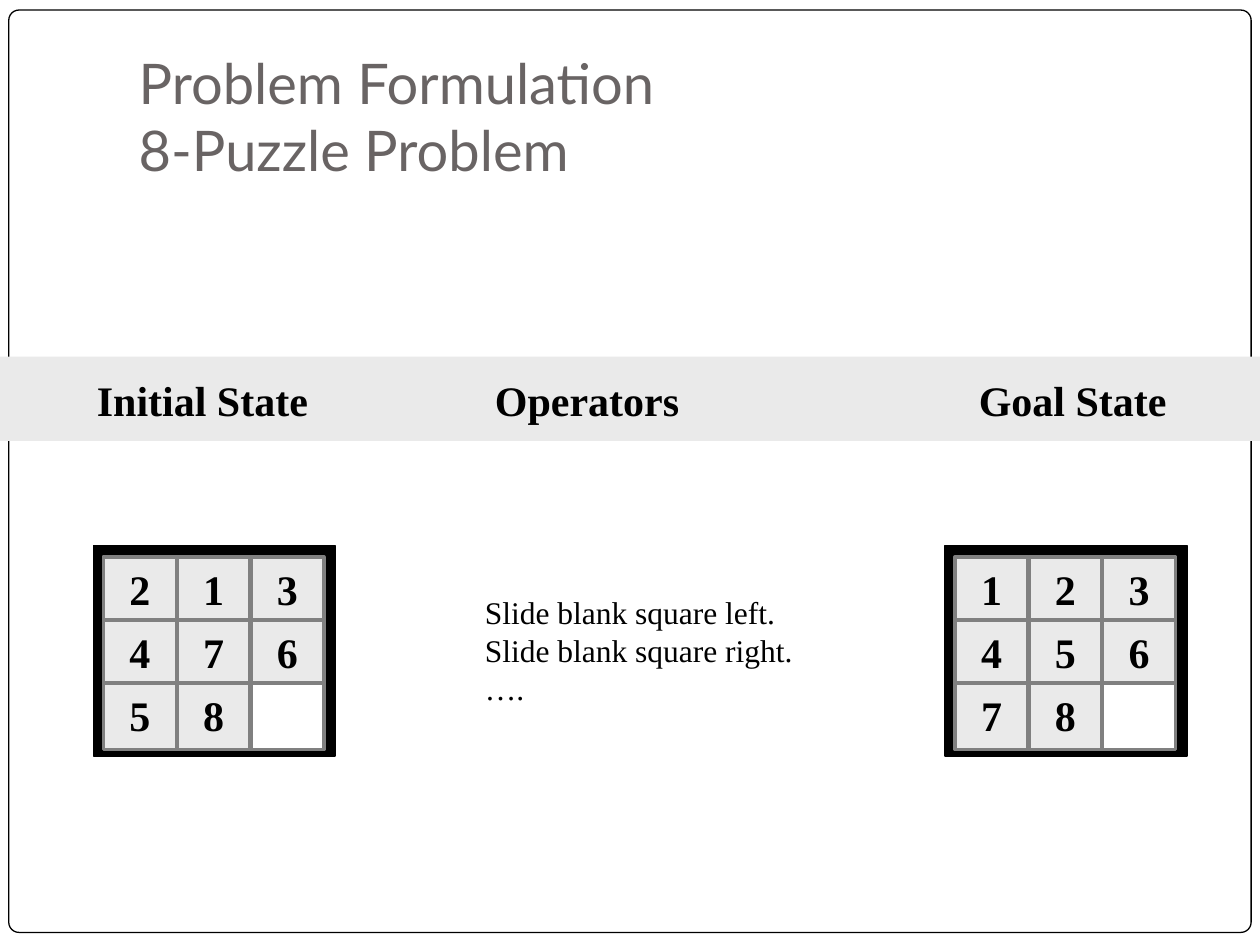
import pptx
import pptx.dml.color
import pptx.enum.shapes
import pptx.enum.text
import pptx.util

Inches = pptx.util.Inches
Pt = pptx.util.Pt
SHAPE = pptx.enum.shapes.MSO_SHAPE
ALIGN = pptx.enum.text.PP_ALIGN
ANCHOR = pptx.enum.text.MSO_ANCHOR

COLORS = {
    "black": "000000",
    "white": "FFFFFF",
    "panel": "EAEAEA",
    "edge": "808080",
    "title": "696464",
}


def rgb(name):
    """Return the named colour."""
    return pptx.dml.color.RGBColor.from_string(COLORS[name])


def write(tf, text, size=24, bold=False, color="black", font="Times New Roman",
          align=ALIGN.LEFT, anchor=ANCHOR.TOP, wrap=False):
    """Fill a text frame with one paragraph per line of text."""
    tf.text = text
    tf.word_wrap = wrap
    tf.vertical_anchor = anchor
    for p in tf.paragraphs:
        p.alignment = align
        for r in p.runs:
            r.font.size = Pt(size)
            r.font.bold = bold
            r.font.name = font
            r.font.color.rgb = rgb(color)


class PuzzleSlide:
    """Hold the current slide and draw its elements in one style."""

    def __init__(self, prs):
        """Add a title-only slide."""
        self.s = prs.slides.add_slide(prs.slide_layouts[5])

    def box(self, shapes, x, y, w, h, fill, line=None, width=0.75, kind=SHAPE.RECTANGLE):
        """Add a filled shape with an optional outline."""
        sp = shapes.add_shape(kind, Inches(x), Inches(y), Inches(w), Inches(h))
        sp.shadow.inherit = False
        sp.fill.solid()
        sp.fill.fore_color.rgb = rgb(fill)
        if line:
            sp.line.color.rgb = rgb(line)
            sp.line.width = Pt(width)
        else:
            sp.line.fill.background()
        return sp

    def frame(self):
        """Add the rounded page border behind everything else."""
        sp = self.box(self.s.shapes, 0.07, 0.08, 9.86, 7.32, "white", "black",
                      kind=SHAPE.ROUNDED_RECTANGLE)
        sp.adjustments[0] = 0.011
        self.s.shapes._spTree.insert(2, sp._element)

    def title(self, text):
        """Place and format the title placeholder."""
        sp = self.s.shapes.title
        sp.left, sp.top, sp.width, sp.height = map(Inches, (1, 0.3, 8.5, 1.25))
        sp.text_frame.margin_bottom = Inches(0.1)
        write(sp.text_frame, text, size=32, color="title", font="Lato",
              anchor=ANCHOR.BOTTOM, wrap=True)

    def text(self, x, y, w, h, text, **fmt):
        """Add a text box."""
        sp = self.s.shapes.add_textbox(Inches(x), Inches(y), Inches(w), Inches(h))
        write(sp.text_frame, text, **fmt)

    def puzzle(self, x, y, tiles):
        """Add a grouped 3 by 3 board, with a space as the blank square."""
        shapes = self.s.shapes.add_group_shape().shapes
        self.box(shapes, x, y, 1.92, 1.67, "black", "black")
        for i, tile in enumerate(tiles):
            row, col = divmod(i, 3)
            blank = tile == " "
            sp = self.box(shapes, x + 0.08 + col * 0.585, y + 0.09 + row * 0.5, 0.58, 0.53,
                          "white" if blank else "panel", "edge", 2)
            if not blank:
                write(sp.text_frame, tile, bold=True, align=ALIGN.CENTER, wrap=True)


def main():
    """Build and save the slide."""
    prs = pptx.Presentation()
    prs.slide_width, prs.slide_height = Inches(10), Inches(7.5)
    slide = PuzzleSlide(prs)
    slide.frame()
    slide.title("Problem Formulation\v8-Puzzle Problem")
    slide.box(slide.s.shapes, 0, 2.83, 10, 0.67, "panel")
    for x, w, heading in ((0.67, 1.88, "Initial State"),
                          (3.83, 1.66, "Operators"),
                          (7.67, 1.69, "Goal State")):
        slide.text(x, 2.92, w, 0.5, heading, bold=True)
    slide.puzzle(0.74, 4.33, "21347658 ")
    slide.text(3.75, 4.66, 2.65, 1,
               "Slide blank square left.\nSlide blank square right.\n….", size=18)
    slide.puzzle(7.5, 4.33, "12345678 ")
    prs.save("out.pptx")


if __name__ == "__main__":
    main()
